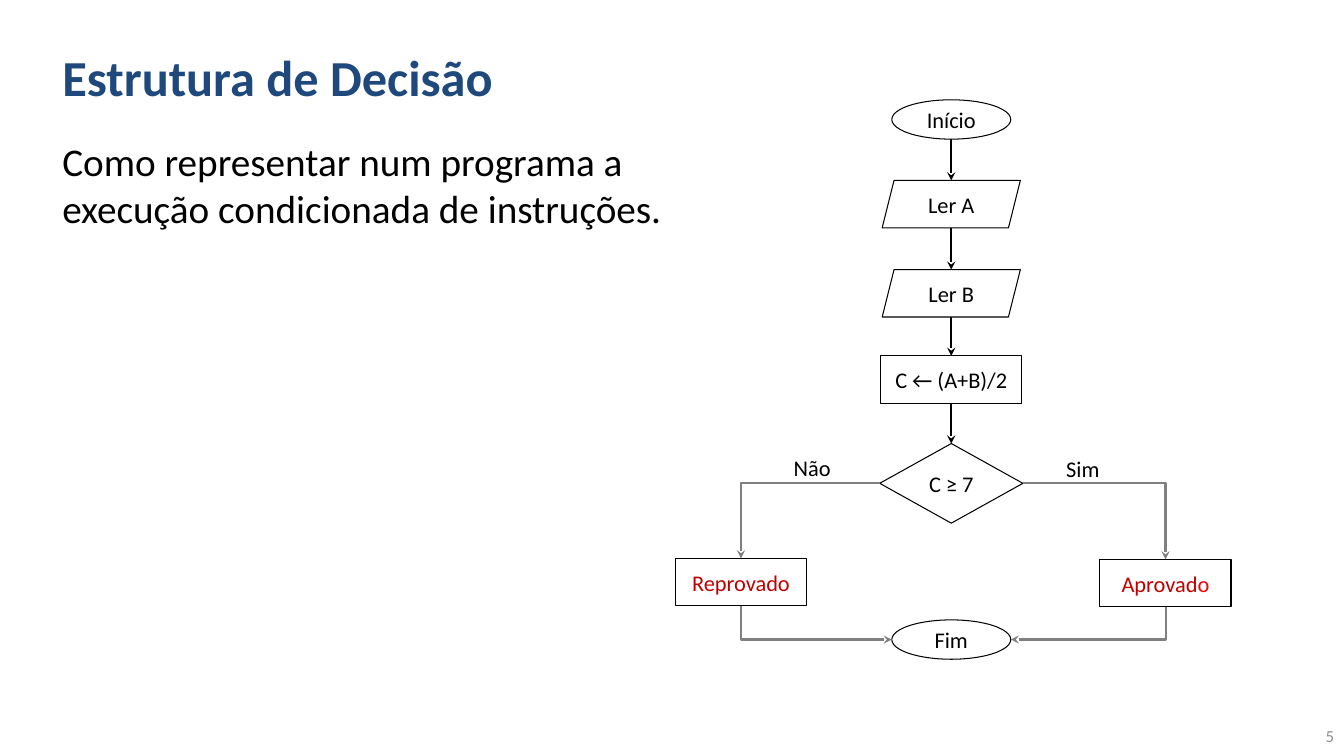
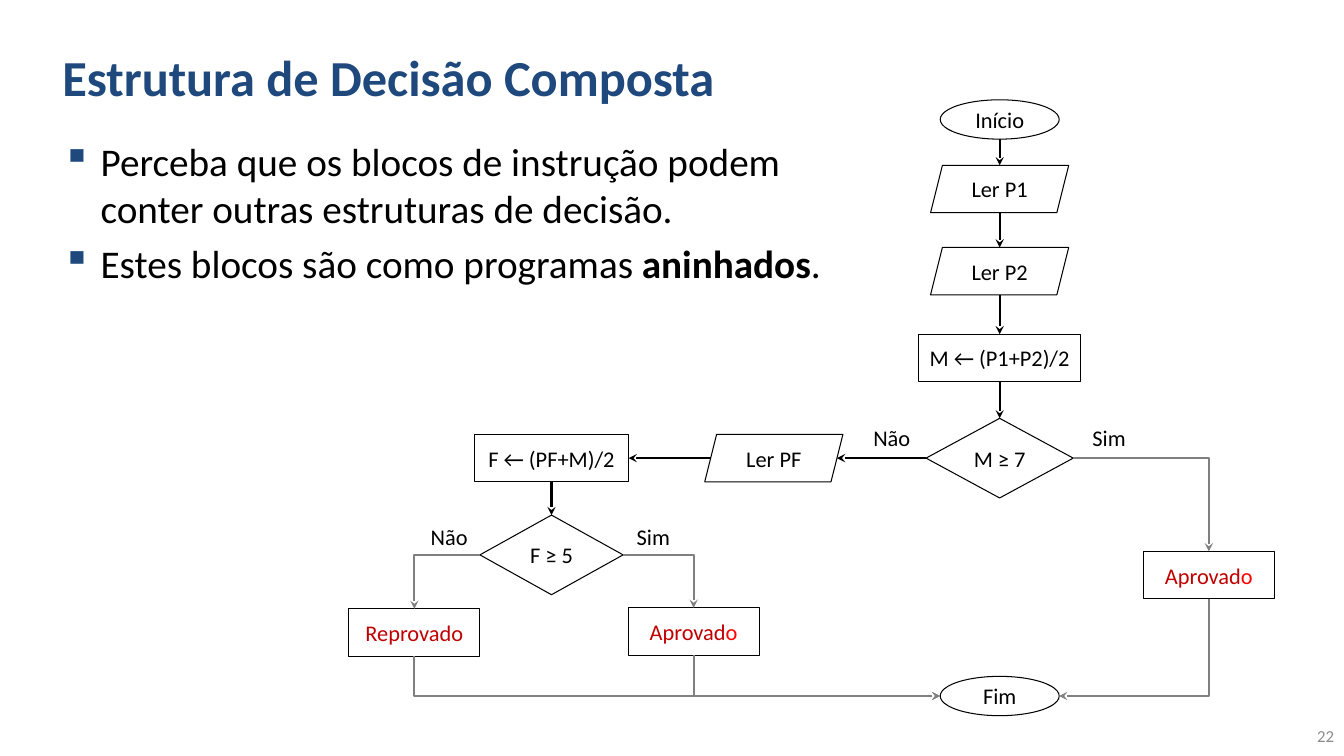
"""Two slides on decision structures, each with a flowchart on a tenth-of-an-inch grid."""
from dataclasses import dataclass

from lxml import etree
from pptx import Presentation
from pptx import util as u
from pptx.dml.color import RGBColor
from pptx.enum import shapes, text
from pptx.oxml.ns import qn


@dataclass(frozen=True)
class Theme:
    font: str = "Calibri"
    navy: str = "1F497D"
    ink: str = "000000"
    gray: str = "808080"
    number_gray: str = "8C8C8C"
    result: str = "C00000"
    accent: str = "FF0000"
    title: int = 36
    body: int = 28
    node: int = 16
    number: int = 12
    outline: float = 0.75
    arrow: float = 1.5
    body_gap: float = 5.6


@dataclass(frozen=True)
class Node:
    x: float
    y: float
    w: float
    h: float
    slant: float = 0

    def side(self, name):
        dx, dy = {"top": (0, -1), "bottom": (0, 1), "left": (-1, 0), "right": (1, 0)}[name]
        return self.x + dx * (self.w / 2 - self.slant), self.y + dy * self.h / 2


TERMINAL = shapes.MSO_SHAPE.OVAL, 11.8, 3.9
INPUT = shapes.MSO_SHAPE.PARALLELOGRAM, 13.7, 4.7
PROCESS = shapes.MSO_SHAPE.RECTANGLE, 14, 4.7
RESULT = shapes.MSO_SHAPE.RECTANGLE, 13, 4.7
DECISION = shapes.MSO_SHAPE.DIAMOND, 14.2, 7.9


class Deck:
    def __init__(self, theme):
        self.theme = theme
        self.prs = Presentation()
        self.prs.slide_width, self.prs.slide_height = u.Inches(13.33), u.Inches(7.5)
        self.slide = None

    def grid(self, *cells):
        return [u.Inches(cell / 10) for cell in cells]

    def style(self, font, size, color, bold=False):
        font.name, font.size, font.bold = self.theme.font, u.Pt(size), bold
        font.color.rgb = RGBColor.from_string(color)

    def box(self, x, y, w, h, anchor=text.MSO_ANCHOR.MIDDLE, wrap=True):
        frame = self.slide.shapes.add_textbox(*self.grid(x, y, w, h)).text_frame
        frame.word_wrap, frame.vertical_anchor = wrap, anchor
        return frame

    def line_of_text(self, frame, words, size, color, align=text.PP_ALIGN.LEFT, bold=False):
        paragraph = frame.paragraphs[0]
        paragraph.text, paragraph.alignment = words, align
        self.style(paragraph.font, size, color, bold)
        return paragraph

    def page(self, title, number):
        t = self.theme
        self.slide = self.prs.slides.add_slide(self.prs.slide_layouts[6])
        self.line_of_text(self.box(5.2, 1.3, 105.8, 12.5), title, t.title, t.navy, bold=True)
        self.line_of_text(self.box(110, 71, 23.3, 4), str(number), t.number, t.number_gray,
                          text.PP_ALIGN.RIGHT)

    def body(self, paragraphs, bulleted=False):
        t = self.theme
        frame = self.box(5.2, 13.1, 124, 12.3, text.MSO_ANCHOR.TOP)
        for i, (opening, *rest) in enumerate(paragraphs):
            paragraph = frame.add_paragraph() if i else frame.paragraphs[0]
            paragraph.text = opening
            if bulleted:
                self.bullet(paragraph)
            paragraph.space_before = u.Pt(t.body_gap)
            self.style(paragraph.font, t.body, t.ink)
            for words, bold in rest:
                run = paragraph.add_run()
                run.text, run.font.bold = words, bold

    def bullet(self, paragraph):
        props = paragraph._p.get_or_add_pPr()
        indent = u.Inches(0.38)
        props.set("marL", str(indent))
        props.set("indent", str(-indent))
        color = etree.SubElement(props, qn("a:buClr"))
        etree.SubElement(color, qn("a:srgbClr"), val=self.theme.navy)
        etree.SubElement(props, qn("a:buChar"), char="▪")

    def node(self, kind, words, x, y, width=None, color=None, ending=""):
        t = self.theme
        preset, w, h = kind
        w = width or w
        shape = self.slide.shapes.add_shape(preset, *self.grid(x - w / 2, y - h / 2, w, h))
        shape.shadow.inherit = False
        shape.fill.background()
        shape.line.color.rgb = RGBColor.from_string(t.ink)
        shape.line.width = u.Pt(t.outline)
        frame = shape.text_frame
        frame.word_wrap, frame.vertical_anchor = False, text.MSO_ANCHOR.MIDDLE
        paragraph = self.line_of_text(frame, words, t.node, color or t.ink, text.PP_ALIGN.CENTER)
        for run in paragraph.runs:
            run.font.color.rgb = RGBColor.from_string(color or t.ink)
        if ending:
            run = paragraph.add_run()
            run.text = ending
            run.font.color.rgb = RGBColor.from_string(t.accent)
        return Node(x, y, w, h, h / 8 if kind is INPUT else 0)

    def approved(self, x, y):
        return self.node(RESULT, "Aprovad", x, y, color=self.theme.result, ending="o")

    def failed(self, x, y):
        return self.node(RESULT, "Reprovado", x, y, color=self.theme.result)

    def label(self, words, x, y):
        frame = self.box(x - 2.85, y - 1.85, 5.7, 3.7, wrap=False)
        self.line_of_text(frame, words, self.theme.node, self.theme.ink, text.PP_ALIGN.CENTER)

    def connector(self, kind, start, end, color, arrow_end):
        line = self.slide.shapes.add_connector(kind, *self.grid(*start, *end))
        line.line.color.rgb = RGBColor.from_string(color)
        line.line.width = u.Pt(self.theme.arrow)
        props = line.element.spPr
        etree.SubElement(props.find(qn("a:ln")), qn(arrow_end), type="stealth")
        etree.SubElement(props, qn("a:effectLst"))
        return props

    def arrow(self, source, target, leave="bottom", enter="top"):
        self.connector(shapes.MSO_CONNECTOR.STRAIGHT, source.side(leave), target.side(enter),
                       self.theme.ink, "a:tailEnd")

    def chain(self, *nodes):
        for source, target in zip(nodes, nodes[1:]):
            self.arrow(source, target)

    def elbow(self, across, side, down, edge, arrow_end):
        props = self.connector(shapes.MSO_CONNECTOR.ELBOW, across.side(side), down.side(edge),
                               self.theme.gray, arrow_end)
        props.find(qn("a:prstGeom")).set("prst", "bentConnector2")

    def branch(self, decision, side, outcome):
        self.elbow(decision, side, outcome, "top", "a:tailEnd")

    def merge(self, outcome, end, side):
        self.elbow(end, side, outcome, "bottom", "a:headEnd")


def simple_decision(deck):
    deck.page("Estrutura de Decisão", 5)
    deck.body([["Como representar num programa a \vexecução condicionada de instruções."]])
    axis = 94.35
    start = deck.node(TERMINAL, "Início", axis, 11.85)
    read_a = deck.node(INPUT, "Ler A", axis, 20.25)
    read_b = deck.node(INPUT, "Ler B", axis, 29.1)
    mean = deck.node(PROCESS, "C ← (A+B)/2", axis, 37.65)
    passed = deck.node(DECISION, "C ≥ 7", axis, 47.95)
    end = deck.node(TERMINAL, "Fim", axis, 63.45)
    deck.chain(start, read_a, read_b, mean, passed)
    failed, approved = deck.failed(73.5, 57.75), deck.approved(115.6, 57.85)
    for outcome, side in ((failed, "left"), (approved, "right")):
        deck.branch(passed, side, outcome)
        deck.merge(outcome, end, side)
    deck.label("Não", 80.55, 46.35)
    deck.label("Sim", 107.4, 46.45)


def nested_decision(deck):
    deck.page("Estrutura de Decisão Composta", 22)
    deck.body([
        ["Perceba que os blocos de instrução podem \vconter outras estruturas de decisão."],
        ["Estes blocos são como programas ", ("aninhados", True), (".", False)],
    ], bulleted=True)
    axis, exam_axis, exam_row = 99.15, 54.7, 45.45
    start = deck.node(TERMINAL, "Início", axis, 11.85)
    read_p1 = deck.node(INPUT, "Ler P1", axis, 18.75)
    read_p2 = deck.node(INPUT, "Ler P2", axis, 26.9)
    mean = deck.node(PROCESS, "M ← (P1+P2)/2", axis, 35.5, width=16.1)
    passed = deck.node(DECISION, "M ≥ 7", axis, exam_row, width=14.6)
    end = deck.node(TERMINAL, "Fim", axis, 69.05)
    deck.chain(start, read_p1, read_p2, mean, passed)

    read_exam = deck.node(INPUT, "Ler PF", 76.75, exam_row)
    final_mean = deck.node(PROCESS, "F ← (PF+M)/2", exam_axis, exam_row, width=15.3)
    recovered = deck.node(DECISION, "F ≥ 5", exam_axis, 55.05)
    deck.arrow(passed, read_exam, "left", "right")
    deck.arrow(read_exam, final_mean, "left", "right")
    deck.chain(final_mean, recovered)

    failed = deck.failed(41.1, 62.75)
    approved_by_exam = deck.approved(68.8, 62.65)
    approved = deck.approved(119.9, 57.05)
    for decision, side, outcome, entry in (
        (recovered, "left", failed, "left"),
        (recovered, "right", approved_by_exam, "left"),
        (passed, "right", approved, "right"),
    ):
        deck.branch(decision, side, outcome)
        deck.merge(outcome, end, entry)
    for answer, x, y in (("Não", 88.45, 43.45), ("Sim", 110, 43.45),
                         ("Não", 44.55, 53.25), ("Sim", 64.8, 53.25)):
        deck.label(answer, x, y)


def main():
    deck = Deck(Theme())
    simple_decision(deck)
    nested_decision(deck)
    deck.prs.save("out.pptx")


if __name__ == "__main__":
    main()
